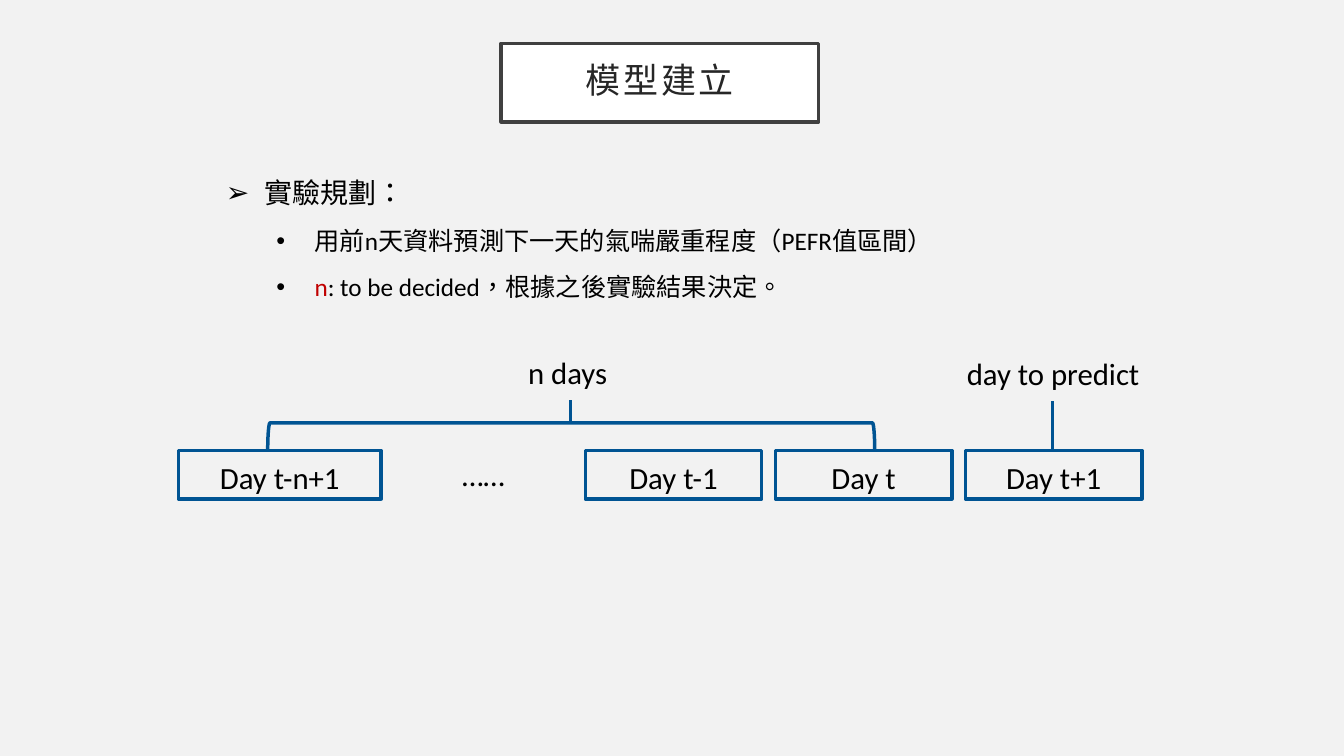
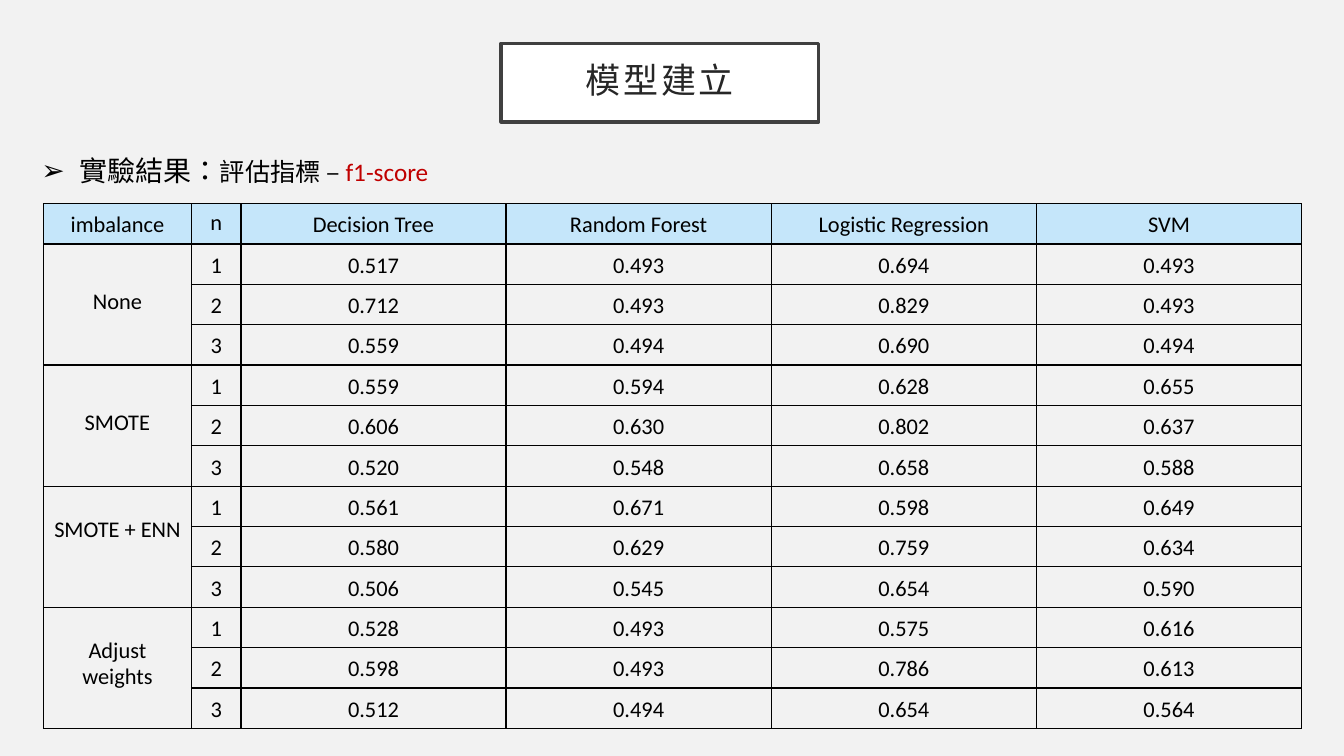
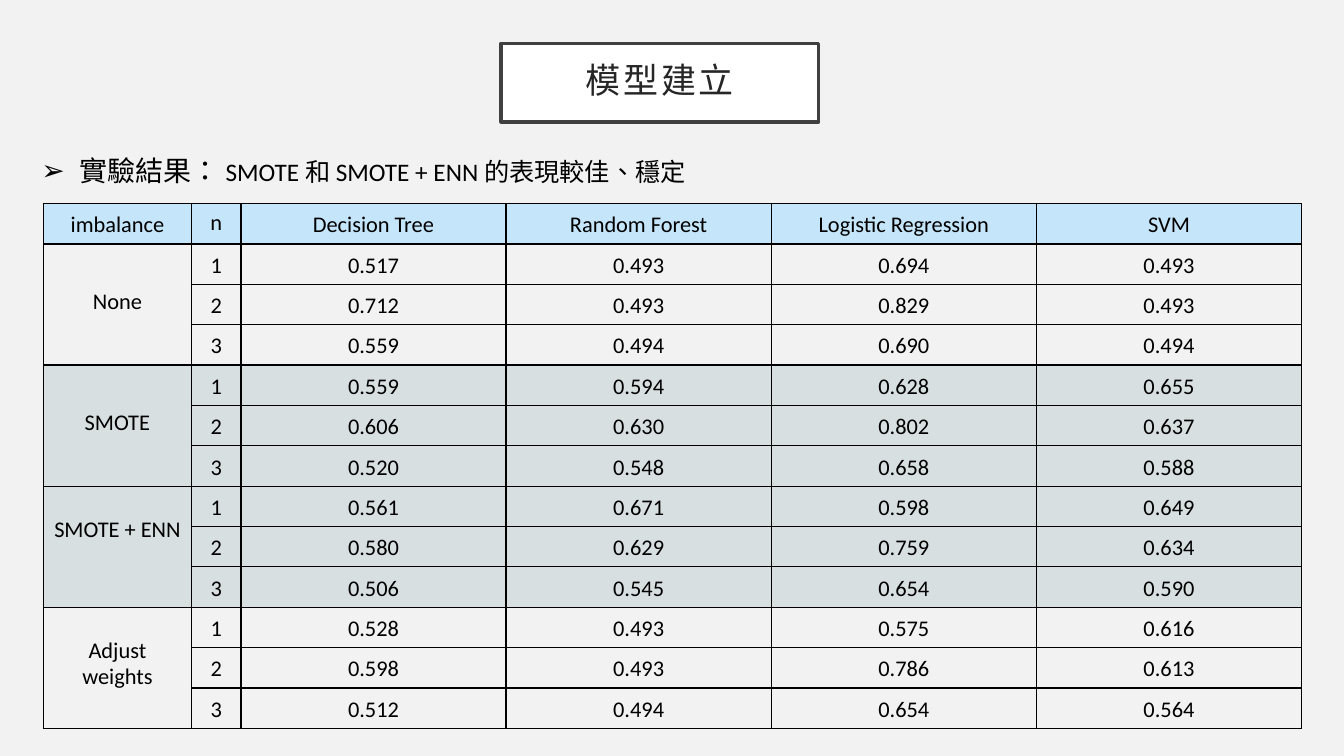
"""Build three slides on planning and evaluating the prediction models."""
import dataclasses
import typing

import pptx
import pptx.dml.color
import pptx.enum.shapes
import pptx.enum.text
import pptx.oxml.ns
import pptx.util
from lxml import etree

COLORS = {
    "background": "F2F2F2",
    "title_fill": "FFFFFF",
    "title_line": "404040",
    "title_text": "262626",
    "text": "000000",
    "accent": "C00000",
    "diagram": "005493",
    "header": "C5E6FA",
    "highlight": "D7DFE1",
}
FONT = "Calibri"
GRID = pptx.util.Inches(0.1)
COLUMNS, ROWS = 133.3, 75
LINE_WIDTH = 2.5
TITLE = "模型建立"

DAY_LEFT, DAY_PITCH, DAY_WIDTH = 39.2, 18.85, 17.5
DAY_TOP, DAY_HEIGHT = 44.7, 4.8

TABLE_COLUMNS = (14.7, 4.9, 26.3, 26.3, 26.3, 26.3)
TABLE_ROW = 4
HEADERS = ("imbalance", "n", "Decision Tree", "Random Forest", "Logistic Regression", "SVM")


@dataclasses.dataclass(frozen=True)
class Box:
    """A rectangle in grid columns and rows."""
    column: float
    row: float
    width: float
    height: float

    def lengths(self) -> tuple[int, ...]:
        """Return left, top, width and height as slide lengths."""
        return tuple(grid(value) for value in dataclasses.astuple(self))


class Piece(typing.NamedTuple):
    """A run of text with its size and colour."""
    text: str
    size: float = 18
    color: str = "text"


class Bullet(typing.NamedTuple):
    """A bulleted paragraph."""
    level: int
    pieces: tuple[Piece, ...]


class Label(typing.NamedTuple):
    """A diagram caption, framed or plain."""
    text: str
    box: Box
    spacing: float | None
    framed: bool = False


class Method(typing.NamedTuple):
    """Scores of one way of treating the imbalance, by n."""
    name: str
    spacing: float
    scores: tuple[tuple[str, ...], ...]
    color: str | None = None


BULLET_STYLES = {1: ("➢", 0.88), 2: ("•", 1.38)}
BULLET_HANG = 0.38
TITLE_BOX = Box(49.7, 4.3, 31.5, 7.8)
RESULT_BOX = Box(-1.9, 13.5, 98.3, 5.1)

PLAN = (
    Bullet(1, (Piece("實驗規劃：", 20),)),
    Bullet(2, (Piece("用前n天資料預測下一天的氣喘嚴重程度（PEFR值區間）"),)),
    Bullet(2, (Piece("n", color="accent"), Piece(": to be decided，根據之後實驗結果決定。"))),
)
METRIC = Bullet(1, (Piece("實驗結果：", 20), Piece("評估指標 – "), Piece("f1-score", color="accent")))
FINDING = Bullet(1, (Piece("實驗結果：", 20), Piece(" SMOTE 和 SMOTE + ENN 的表現較佳、穩定")))

METHODS = (
    Method("None", 23.6, (
        ("0.517", "0.493", "0.694", "0.493"),
        ("0.712", "0.493", "0.829", "0.493"),
        ("0.559", "0.494", "0.690", "0.494"),
    )),
    Method("SMOTE", 23.6, (
        ("0.559", "0.594", "0.628", "0.655"),
        ("0.606", "0.630", "0.802", "0.637"),
        ("0.520", "0.548", "0.658", "0.588"),
    ), "highlight"),
    Method("SMOTE + ENN", 18.6, (
        ("0.561", "0.671", "0.598", "0.649"),
        ("0.580", "0.629", "0.759", "0.634"),
        ("0.506", "0.545", "0.654", "0.590"),
    ), "highlight"),
    Method("Adjust weights", 18.6, (
        ("0.528", "0.493", "0.575", "0.616"),
        ("0.598", "0.493", "0.786", "0.613"),
        ("0.512", "0.494", "0.654", "0.564"),
    )),
)


def grid(value: float) -> int:
    """Turn grid cells into a length."""
    return round(value * GRID)


def rgb(name: str) -> pptx.dml.color.RGBColor:
    """Look up a colour."""
    return pptx.dml.color.RGBColor.from_string(COLORS[name])


def style_font(font, size: float, color: str = "text") -> None:
    """Set typeface, size and colour."""
    font.name = FONT
    font.size = pptx.util.Pt(size)
    font.color.rgb = rgb(color)


def style_line(line, color: str) -> None:
    """Set the colour and width of an outline."""
    line.color.rgb = rgb(color)
    line.width = pptx.util.Pt(LINE_WIDTH)


def use_chinese(run) -> None:
    """Mark a run as traditional Chinese."""
    run._r.get_or_add_rPr().set("lang", "zh-TW")


def place(shape, box: Box) -> None:
    """Move and size a shape."""
    shape.left, shape.top, shape.width, shape.height = box.lengths()


def center_text(text_frame, text: str, size: float, spacing: float | None) -> None:
    """Write one centred paragraph."""
    text_frame.text = text
    paragraph = text_frame.paragraphs[0]
    paragraph.alignment = pptx.enum.text.PP_ALIGN.CENTER
    if spacing:
        paragraph.line_spacing = pptx.util.Pt(spacing)
    style_font(paragraph.runs[0].font, size)


def add_bullet(paragraph, bullet: Bullet) -> None:
    """Write a bulleted paragraph."""
    character, indent = BULLET_STYLES[bullet.level]
    properties = paragraph._p.get_or_add_pPr()
    properties.set("marL", str(pptx.util.Inches(indent)))
    properties.set("indent", str(-pptx.util.Inches(BULLET_HANG)))
    color = etree.SubElement(properties, pptx.oxml.ns.qn("a:buClr"))
    etree.SubElement(color, pptx.oxml.ns.qn("a:srgbClr"), val=COLORS["text"])
    etree.SubElement(properties, pptx.oxml.ns.qn("a:buFont"), typeface="Arial")
    etree.SubElement(properties, pptx.oxml.ns.qn("a:buChar"), char=character)
    paragraph.level = bullet.level
    paragraph.line_spacing = pptx.util.Pt(33)
    paragraph.space_before = pptx.util.Pt(0)
    for piece in bullet.pieces:
        run = paragraph.add_run()
        run.text = piece.text
        style_font(run.font, piece.size, piece.color)
        use_chinese(run)


def add_content_slide(presentation, bullets: tuple[Bullet, ...], body_box: Box):
    """Add a slide with the framed title and a bulleted body."""
    slide = presentation.slides.add_slide(presentation.slide_layouts[1])
    title, body = slide.placeholders
    place(title, TITLE_BOX)
    title.fill.solid()
    title.fill.fore_color.rgb = rgb("title_fill")
    style_line(title.line, "title_line")
    frame = title.text_frame
    frame.text = TITLE
    frame.auto_size = pptx.enum.text.MSO_AUTO_SIZE.NONE
    frame.vertical_anchor = pptx.enum.text.MSO_ANCHOR.MIDDLE
    frame.margin_left = frame.margin_right = frame.margin_top = frame.margin_bottom = grid(2)
    paragraph = frame.paragraphs[0]
    paragraph.alignment = pptx.enum.text.PP_ALIGN.CENTER
    paragraph.line_spacing = 0.9
    run = paragraph.runs[0]
    style_font(run.font, 25, "title_text")
    use_chinese(run)
    run._r.get_or_add_rPr().set("spc", "200")

    place(body, body_box)
    body.text_frame.auto_size = pptx.enum.text.MSO_AUTO_SIZE.NONE
    for index, bullet in enumerate(bullets):
        paragraph = body.text_frame.add_paragraph() if index else body.text_frame.paragraphs[0]
        add_bullet(paragraph, bullet)
    return slide


def add_outline(slide, preset, box: Box):
    """Add an unfilled shape with the diagram outline."""
    shape = slide.shapes.add_shape(preset, *box.lengths())
    shape.shadow.inherit = False
    shape.fill.background()
    style_line(shape.line, "diagram")
    return shape


def add_label(slide, label: Label) -> None:
    """Add a diagram caption."""
    if label.framed:
        shape = add_outline(slide, pptx.enum.shapes.MSO_SHAPE.RECTANGLE, label.box)
    else:
        shape = slide.shapes.add_textbox(*label.box.lengths())
    shape.text_frame.word_wrap = True
    shape.text_frame.vertical_anchor = pptx.enum.text.MSO_ANCHOR.TOP
    center_text(shape.text_frame, label.text, 22, label.spacing)


def add_stem(slide, column: float, top: float, bottom: float) -> None:
    """Add a vertical line."""
    stem = slide.shapes.add_connector(
        pptx.enum.shapes.MSO_CONNECTOR.STRAIGHT,
        grid(column), grid(top), grid(column), grid(bottom))
    style_line(stem.line, "diagram")
    etree.SubElement(stem._element.spPr, pptx.oxml.ns.qn("a:effectLst"))


def add_timeline(slide) -> None:
    """Draw the days used and the day to predict."""
    add_label(slide, Label("Day t-n+1", Box(17.7, DAY_TOP, 20.1, DAY_HEIGHT), 28.6, True))
    for index, text in enumerate(("……", "Day t-1", "Day t", "Day t+1")):
        box = Box(DAY_LEFT + index * DAY_PITCH, DAY_TOP, DAY_WIDTH, DAY_HEIGHT)
        framed = index > 0
        add_label(slide, Label(text, box, 28.6 if framed else None, framed))
    bracket = add_outline(slide, pptx.enum.shapes.MSO_SHAPE.LEFT_BRACKET, Box(55.3, 13.2, 2.7, 60.2))
    bracket.rotation = 90
    add_label(slide, Label("n days", Box(38.3, 34.6, 36, 4.7), 26.4))
    add_label(slide, Label("day to predict", Box(91.1, 34.7, 26.7, 4.7), 26.4))
    add_stem(slide, 56.6, 39.7, 42)
    add_stem(slide, 104.4, 39.8, 44.8)


def style_cell(cell, color: str | None) -> None:
    """Set the borders and fill of a cell."""
    properties = cell._tc.get_or_add_tcPr()
    for side in ("lnL", "lnR", "lnT", "lnB"):
        border = etree.SubElement(
            properties, pptx.oxml.ns.qn(f"a:{side}"), w=str(pptx.util.Pt(1)))
        fill = etree.SubElement(border, pptx.oxml.ns.qn("a:solidFill"))
        etree.SubElement(fill, pptx.oxml.ns.qn("a:srgbClr"), val=COLORS["text"])
    if color:
        cell.fill.solid()
        cell.fill.fore_color.rgb = rgb(color)
    else:
        cell.fill.background()


def add_score_table(slide, highlighted: bool) -> None:
    """Add the table of scores, with the better methods shaded on request."""
    row_count = 1 + sum(len(method.scores) for method in METHODS)
    box = Box(4.3, 20.2, sum(TABLE_COLUMNS), row_count * TABLE_ROW)
    table = slide.shapes.add_table(row_count, len(HEADERS), *box.lengths()).table
    table.first_row = table.horz_banding = False
    for column, width in zip(table.columns, TABLE_COLUMNS):
        column.width = grid(width)
    for row in table.rows:
        row.height = grid(TABLE_ROW)

    for index, header in enumerate(HEADERS):
        cell = table.cell(0, index)
        style_cell(cell, "header")
        center_text(cell.text_frame, header, 16, None if header == "n" else 21.6)

    first = 1
    for method in METHODS:
        color = method.color if highlighted else None
        for offset, scores in enumerate(method.scores):
            style_cell(table.cell(first + offset, 0), color)
            for index, text in enumerate((str(offset + 1), *scores), start=1):
                cell = table.cell(first + offset, index)
                style_cell(cell, color)
                center_text(cell.text_frame, text, 16, 21.6)
        name_cell = table.cell(first, 0)
        name_cell.merge(table.cell(first + len(method.scores) - 1, 0))
        name_cell.margin_top = grid(0.5) + pptx.util.Pt(method.spacing)
        center_text(name_cell.text_frame, method.name, 16, method.spacing)
        first += len(method.scores)


def main() -> None:
    """Build and save the presentation."""
    presentation = pptx.Presentation()
    presentation.slide_width, presentation.slide_height = grid(COLUMNS), grid(ROWS)
    background = presentation.slide_master.background.fill
    background.solid()
    background.fore_color.rgb = rgb("background")

    add_timeline(add_content_slide(presentation, PLAN, Box(16.4, 15.7, 98.3, 28.2)))
    for bullet, highlighted in ((METRIC, False), (FINDING, True)):
        slide = add_content_slide(presentation, (bullet,), RESULT_BOX)
        add_score_table(slide, highlighted)
    presentation.save("out.pptx")


if __name__ == "__main__":
    main()
